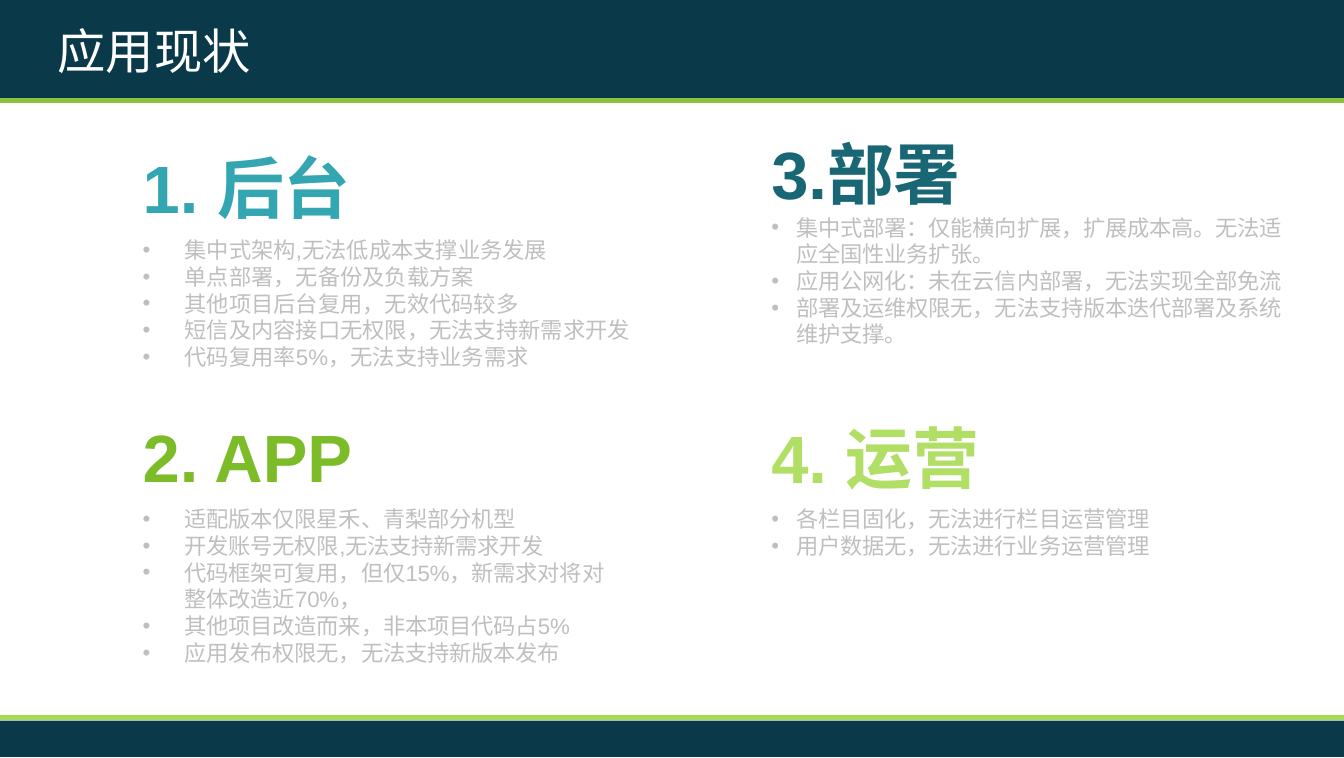
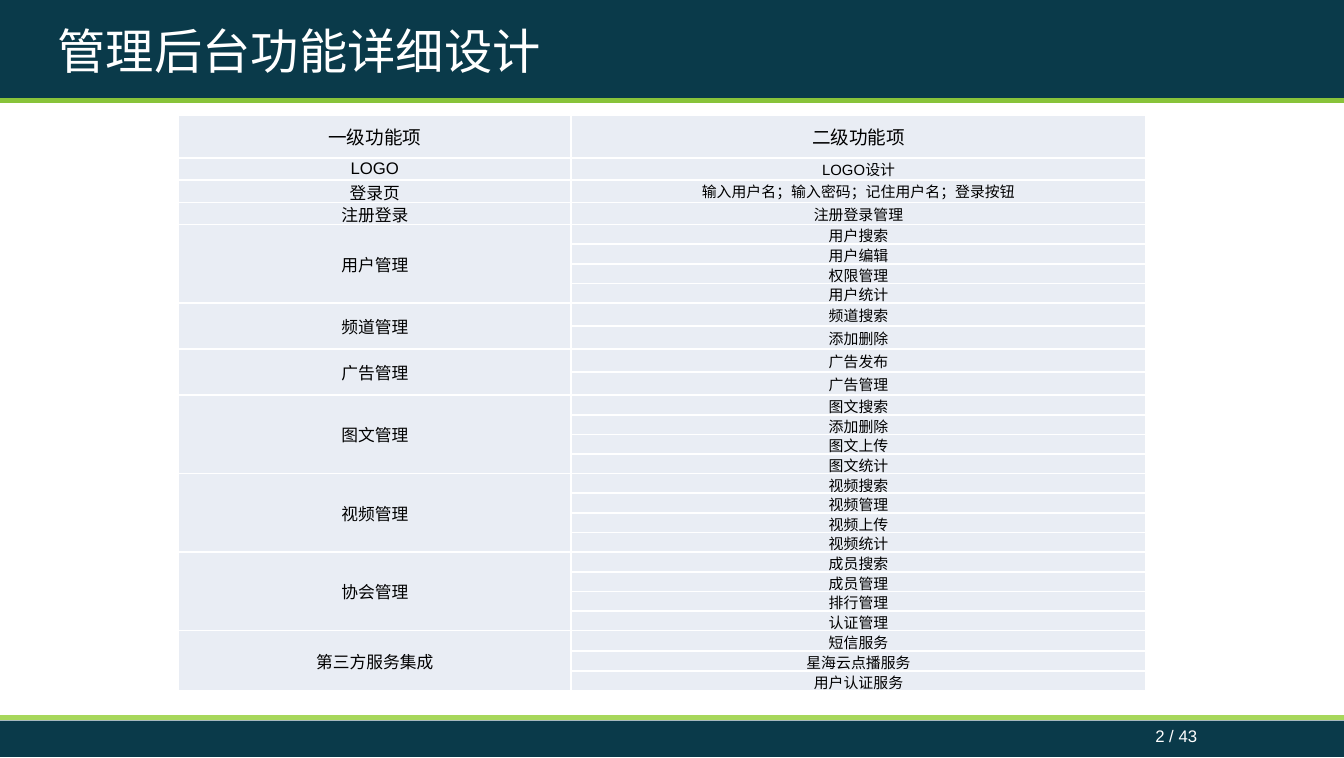
from lxml import etree
from pptx import Presentation
from pptx.dml.color import RGBColor
from pptx.enum.shapes import MSO_CONNECTOR, MSO_SHAPE
from pptx.enum.text import MSO_ANCHOR, MSO_AUTO_SIZE, PP_ALIGN
from pptx.oxml.ns import qn
from pptx.util import Pt

RECTANGLE = MSO_SHAPE.RECTANGLE
STRAIGHT = MSO_CONNECTOR.STRAIGHT
TOP, MIDDLE = MSO_ANCHOR.TOP, MSO_ANCHOR.MIDDLE
GROW = MSO_AUTO_SIZE.SHAPE_TO_FIT_TEXT
LEFT, CENTER = PP_ALIGN.LEFT, PP_ALIGN.CENTER

WIDTH, HEIGHT = 723.6, 408.24
TITLE_ONLY = 5


def rgb(value):
    return RGBColor.from_string(value)


class Deck:
    FONT = "Arial"
    NAVY, WHITE, BLACK = "0A3A4A", "FFFFFF", "000000"
    GRAY, CELL = "BFBFBF", "E9EDF4"
    HEADER_RULE, FOOTER_RULE = "88C33A", "A7D75B"

    def __init__(self):
        self.deck = Presentation()
        self.deck.slide_width = Pt(WIDTH)
        self.deck.slide_height = Pt(HEIGHT)
        self.slide = None

    def new_slide(self, title, title_width, page=None):
        layout = self.deck.slide_layouts[TITLE_ONLY]
        self.slide = self.deck.slides.add_slide(layout)
        shapes = self.slide.shapes
        self.band(shapes, -1.4, 54.7)
        self.title(title, title_width)
        self.rule(shapes, 54, self.HEADER_RULE)
        footer = self.slide.shapes.add_group_shape().shapes
        self.band(footer, 388.1, 19.6)
        self.rule(footer, 386.6, self.FOOTER_RULE)
        if page:
            self.text(footer, [page], (612, 387.4, 42.5, 21.6), 9, self.WHITE, align=CENTER)

    def band(self, shapes, top, height):
        band = shapes.add_shape(RECTANGLE, 0, Pt(top), Pt(WIDTH), Pt(height))
        band.shadow.inherit = False
        band.fill.solid()
        band.fill.fore_color.rgb = rgb(self.NAVY)
        band.line.fill.background()

    def rule(self, shapes, top, color):
        rule = shapes.add_connector(STRAIGHT, 0, Pt(top), Pt(WIDTH), Pt(top))
        rule.line.color.rgb = rgb(color)
        rule.line.width = Pt(2.5)
        etree.SubElement(rule.element.spPr, qn("a:effectLst"))

    def title(self, wording, width):
        title = self.slide.shapes.title
        title.left, title.top, title.width, title.height = (
            Pt(23.8), Pt(7.9), Pt(width), Pt(38.9))
        title.element.getparent().append(title.element)
        frame = title.text_frame
        frame.text = wording
        frame.vertical_anchor = TOP
        frame.auto_size = GROW
        self.style(frame.paragraphs[0], 26, self.WHITE)

    def style(self, paragraph, size, color, bold=False, align=LEFT):
        paragraph.alignment = align
        font = paragraph.font
        font.name, font.size, font.bold = self.FONT, Pt(size), bold
        font.color.rgb = rgb(color)

    def text(self, shapes, lines, box, size, color, bold=False, align=LEFT, indent=0, spacing=0):
        frame = shapes.add_textbox(*map(Pt, box)).text_frame
        frame.word_wrap = True
        frame.auto_size = GROW
        frame.text = "\n".join(lines)
        for paragraph in frame.paragraphs:
            if indent:
                self.bullet(paragraph, indent)
            self.style(paragraph, size, color, bold, align)
            if spacing:
                for run in paragraph.runs:
                    run.font.size = Pt(size)
                    run._r.get_or_add_rPr().set("spc", str(spacing))

    def bullet(self, paragraph, indent):
        properties = paragraph._p.get_or_add_pPr()
        properties.set("marL", str(Pt(indent)))
        properties.set("indent", str(-Pt(indent)))
        etree.SubElement(properties, qn("a:buFont"), typeface=self.FONT)
        etree.SubElement(properties, qn("a:buChar"), char="•")

    def heading(self, wording, left, top, color):
        self.text(self.slide.shapes, [wording], (left, top, 280, 51), 36, color, bold=True)

    def bullets(self, lines, box, indent, spacing):
        self.text(self.slide.shapes, lines, box, 12, self.GRAY, indent=indent, spacing=spacing)

    def cell(self, cell, wording, size):
        cell.margin_left = cell.margin_right = cell.margin_top = cell.margin_bottom = 0
        cell.vertical_anchor = MIDDLE
        properties = cell._tc.get_or_add_tcPr()
        for side in ("lnL", "lnR", "lnT", "lnB"):
            border = etree.SubElement(properties, qn("a:" + side), w=str(Pt(1)))
            paint = etree.SubElement(border, qn("a:solidFill"))
            etree.SubElement(paint, qn("a:srgbClr"), val=self.WHITE)
        cell.fill.solid()
        cell.fill.fore_color.rgb = rgb(self.CELL)
        cell.text = wording
        self.style(cell.text_frame.paragraphs[0], size, self.BLACK, align=CENTER)

    def function_table(self, groups, left, top, widths):
        count = sum(len(items) for _, items, *_ in groups)
        height = sum(len(items) * row_height for _, items, row_height, *_ in groups)
        table = self.slide.shapes.add_table(
            count, len(widths), Pt(left), Pt(top), Pt(sum(widths)), Pt(height)).table
        table.first_row = table.horz_banding = False
        for column, width in zip(table.columns, widths):
            column.width = Pt(width)
        row = 0
        for name, items, row_height, name_size, item_size in groups:
            first = row
            for item in items:
                table.rows[row].height = Pt(row_height)
                self.cell(table.cell(row, 0), name if row == first else "", name_size)
                self.cell(table.cell(row, 1), item, item_size)
                row += 1
            if len(items) > 1:
                table.cell(first, 0).merge(table.cell(row - 1, 0))


STATUS = [
    ("1. 后台", 69.8, 75.6, "33A6B2", 123.8, 302.4, 22.5, 0, [
        "集中式架构,无法低成本支撑业务发展",
        "单点部署，无备份及负载方案",
        "其他项目后台复用，无效代码较多",
        "短信及内容接口无权限，无法支持新需求开发",
        "代码复用率5%，无法支持业务需求"]),
    ("2. APP", 69.8, 220.3, "7BBC28", 268.6, 269.3, 22.5, -10, [
        "适配版本仅限星禾、青梨部分机型",
        "开发账号无权限,无法支持新需求开发",
        "代码框架可复用，但仅15%，新需求对将对整体改造近70%，",
        "其他项目改造而来，非本项目代码占5%",
        "应用发布权限无，无法支持新版本发布"]),
    ("4. 运营", 408.2, 221, "B1DE64", 268.6, 269.3, 13.5, -10, [
        "各栏目固化，无法进行栏目运营管理",
        "用户数据无，无法进行业务运营管理"]),
    ("3.部署", 408.2, 67.7, "196674", 111.6, 292.5, 13.5, -10, [
        "集中式部署：仅能横向扩展，扩展成本高。无法适应全国性业务扩张。",
        "应用公网化：未在云信内部署，无法实现全部免流",
        "部署及运维权限无，无法支持版本迭代部署及系统维护支撑。"]),
]

FUNCTIONS = [
    ("一级功能项", ["二级功能项"], 23, 10, 10),
    ("LOGO", ["LOGO设计"], 12, 9, 8),
    ("登录页", ["输入用户名；输入密码；记住用户名；登录按钮"], 12, 9, 8),
    ("注册登录", ["注册登录管理"], 12, 9, 8),
    ("用户管理", ["用户搜索", "用户编辑", "权限管理", "用户统计"], 10.6, 9, 8),
    ("频道管理", ["频道搜索", "添加删除"], 12.4, 9, 8),
    ("广告管理", ["广告发布", "广告管理"], 12.4, 9, 8),
    ("图文管理", ["图文搜索", "添加删除", "图文上传", "图文统计"], 10.6, 9, 8),
    ("视频管理", ["视频搜索", "视频管理", "视频上传", "视频统计"], 10.6, 9, 8),
    ("协会管理", ["成员搜索", "成员管理", "排行管理", "认证管理"], 10.6, 9, 8),
    ("第三方服务集成", ["短信服务", "星海云点播服务", "用户认证服务"], 10.8, 9, 8),
]


def main():
    deck = Deck()
    deck.new_slide("应用现状", 131.8)
    for heading, left, top, color, list_top, width, indent, spacing, lines in STATUS:
        deck.heading(heading, left, top, color)
        deck.bullets(lines, (left, list_top, width, 7.2 + 14.4 * len(lines)), indent, spacing)

    deck.new_slide("管理后台功能详细设计", 280.8, "2 / 43")
    deck.function_table(FUNCTIONS, 96, 62, (211.5, 309.5))
    deck.deck.save("out.pptx")


if __name__ == "__main__":
    main()
